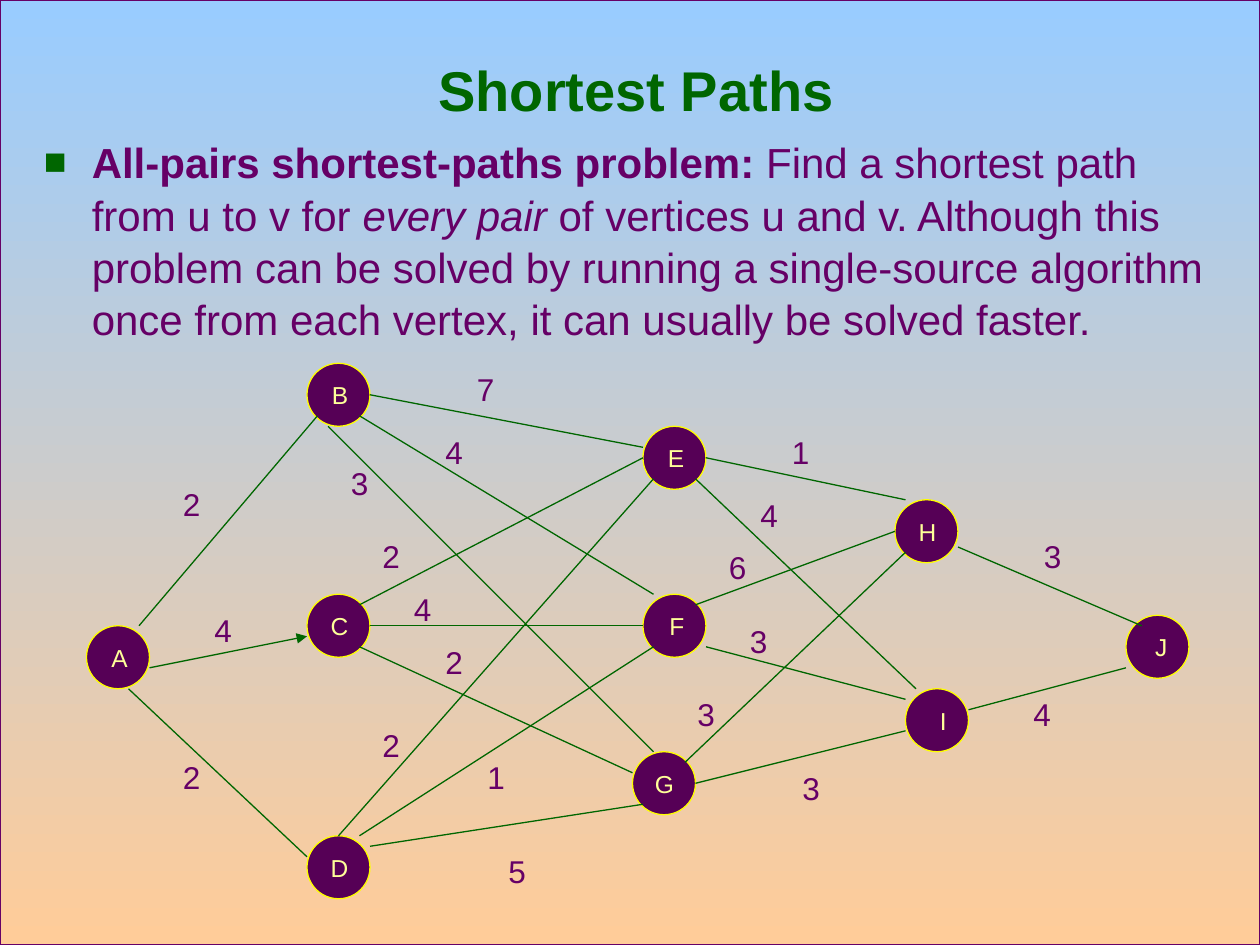
from dataclasses import dataclass

from lxml.etree import SubElement
from pptx import Presentation
from pptx.dml.color import RGBColor
from pptx.enum.shapes import MSO_CONNECTOR, MSO_SHAPE
from pptx.enum.text import MSO_ANCHOR, PP_ALIGN
from pptx.oxml.ns import qn
from pptx.util import Inches, Pt


@dataclass(frozen=True)
class Theme:
    """Colours, type sizes and line width of the slide."""
    sky: str = "99CCFF"
    sand: str = "FFCC99"
    plum: str = "660066"
    disc: str = "560056"
    ring: str = "FFFF00"
    pale: str = "FFFF99"
    green: str = "006600"
    font: str = "Arial"
    head: int = 32
    body: int = 24
    cost: int = 18
    name: int = 14
    line: float = 0.74


def grid(col, row):
    """Turn a column and row of the twelfth-inch grid into a point."""
    return Inches(0.02 + col / 12), Inches(0.05 + row / 12)


def write(para, text, size, color, bold=False, italic=False):
    """Add one styled run to a paragraph."""
    run = para.add_run()
    run.text = text
    font = run.font
    font.name, font.size = theme.font, Pt(size)
    font.bold, font.italic = bold, italic
    font.color.rgb = RGBColor.from_string(color)


theme = Theme()
deck = Presentation()
deck.slide_width, deck.slide_height = Inches(10), Inches(7.5)
slide = deck.slides.add_slide(deck.slide_layouts[6])
shapes = slide.shapes

# Backdrop
back = shapes.add_shape(MSO_SHAPE.RECTANGLE, 0, 0, deck.slide_width, deck.slide_height)
back.shadow.inherit = False
back.fill.gradient()
back.fill.gradient_angle = 270
for stop, color, place in zip(back.fill.gradient_stops, (theme.sky, theme.sand), (0, 1)):
    stop.color.rgb = RGBColor.from_string(color)
    stop.position = place
back.line.color.rgb = RGBColor.from_string(theme.plum)
back.line.width = Pt(theme.line)

# Title
title = shapes.add_textbox(Inches(0.8), Inches(0.5), Inches(8.5), Inches(0.92))
frame = title.text_frame
frame.word_wrap = True
frame.vertical_anchor = MSO_ANCHOR.MIDDLE
frame.margin_top, frame.margin_bottom = 0, Inches(0.5)
para = frame.paragraphs[0]
para.alignment = PP_ALIGN.CENTER
write(para, "Shortest Paths", theme.head, theme.green, bold=True)

# Problem statement
body = shapes.add_textbox(Inches(0.25), Inches(1.02), Inches(9.49), Inches(2.4))
body.text_frame.word_wrap = True
para = body.text_frame.paragraphs[0]
para.space_before = Pt(6)
para.line_spacing = 1.04
props = para._p.get_or_add_pPr()
props.set("marL", str(Inches(0.38)))
props.set("indent", str(-Inches(0.38)))
SubElement(SubElement(props, qn("a:buClr")), qn("a:srgbClr"), val=theme.green)
SubElement(props, qn("a:buSzPct"), val="90000")
SubElement(props, qn("a:buFont"), typeface=theme.font)
SubElement(props, qn("a:buChar"), char="■")
for text, bold, italic in (
    ("All-pairs shortest-paths problem: ", True, False),
    ("Find a shortest path from u to v for ", False, False),
    ("every pair ", False, True),
    ("of vertices u and v. Although this problem can be solved by running a "
     "single-source algorithm once from each vertex, it can usually be solved "
     "faster.", False, False),
):
    write(para, text, theme.body, theme.plum, bold, italic)

# Vertices: name, column, row
nodes = (
    ("C", 29, 56), ("D", 29, 79), ("G", 60, 71), ("B", 29, 34), ("E", 61, 40),
    ("A", 8, 59), ("F", 61, 56), ("H", 85, 47), ("J", 107, 58), ("I", 86, 65),
)
for name, col, row in nodes:
    node = shapes.add_shape(MSO_SHAPE.OVAL, *grid(col, row), Inches(0.5), Inches(0.5))
    node.shadow.inherit = False
    node.fill.solid()
    node.fill.fore_color.rgb = RGBColor.from_string(theme.disc)
    node.line.color.rgb = RGBColor.from_string(theme.ring)
    node.line.width = Pt(theme.line)
    frame = node.text_frame
    frame.word_wrap = False
    frame.vertical_anchor = MSO_ANCHOR.MIDDLE
    para = frame.paragraphs[0]
    para.alignment = PP_ALIGN.RIGHT
    para.space_before = Pt(3.5)
    props = para._p.get_or_add_pPr()
    props.set("marL", str(Inches(0.31)))
    props.set("indent", str(-Inches(0.31)))
    write(para, name, theme.name, theme.pale)

# Edges: vertices, start and end on the grid
edges = (
    ("AB", (13, 59), (30, 39)), ("CG", (34, 61), (60, 73)),
    ("AC", (14, 63), (29, 60)), ("BE", (35, 37), (61, 42)),
    ("EC", (61, 43), (34, 57)), ("GB", (62, 71), (31, 40)),
    ("AD", (12, 65), (29, 81)), ("DG", (35, 80), (61, 76)),
    ("CF", (35, 59), (61, 59)), ("IG", (86, 69), (66, 74)),
    ("FB", (62, 56), (34, 39)), ("EH", (67, 43), (86, 47)),
    ("FI", (67, 61), (86, 66)), ("HG", (86, 52), (65, 72)),
    ("HF", (85, 50), (66, 57)), ("IE", (87, 65), (66, 45)),
    ("HJ", (91, 51.5), (108.5, 59)), ("JI", (107, 63), (92, 67)),
    ("DE", (32, 79), (62, 45)), ("FD", (62, 61), (34, 79)),
)
for pair, start, end in edges:
    edge = shapes.add_connector(MSO_CONNECTOR.STRAIGHT, *grid(*start), *grid(*end))
    edge.line.color.rgb = RGBColor.from_string(theme.green)
    edge.line.width = Pt(theme.line)
    if pair == "AC":
        SubElement(edge.line._get_or_add_ln(), qn("a:tailEnd"), type="triangle")
    SubElement(edge._element.spPr, qn("a:effectLst"))

# Edge costs: value, column, row
costs = (
    (2, 16, 45), (4, 19, 57), (2, 16, 71), (4, 41, 40), (3, 32, 43),
    (2, 35, 50), (1, 45, 71), (5, 47, 80), (4, 38, 55), (1, 74, 40),
    (7, 44, 34), (4, 97, 65), (3, 75, 72), (2, 35, 68), (6, 68, 51),
    (3, 98, 50), (4, 71, 46), (3, 65, 65), (3, 70, 58), (2, 41, 60),
)
for cost, col, row in costs:
    label = shapes.add_textbox(*grid(col, row), Inches(0.33), Inches(0.42))
    label.text_frame.word_wrap = True
    para = label.text_frame.paragraphs[0]
    para.space_before = Pt(4.5)
    write(para, str(cost), theme.cost, theme.plum)

deck.save("out.pptx")
